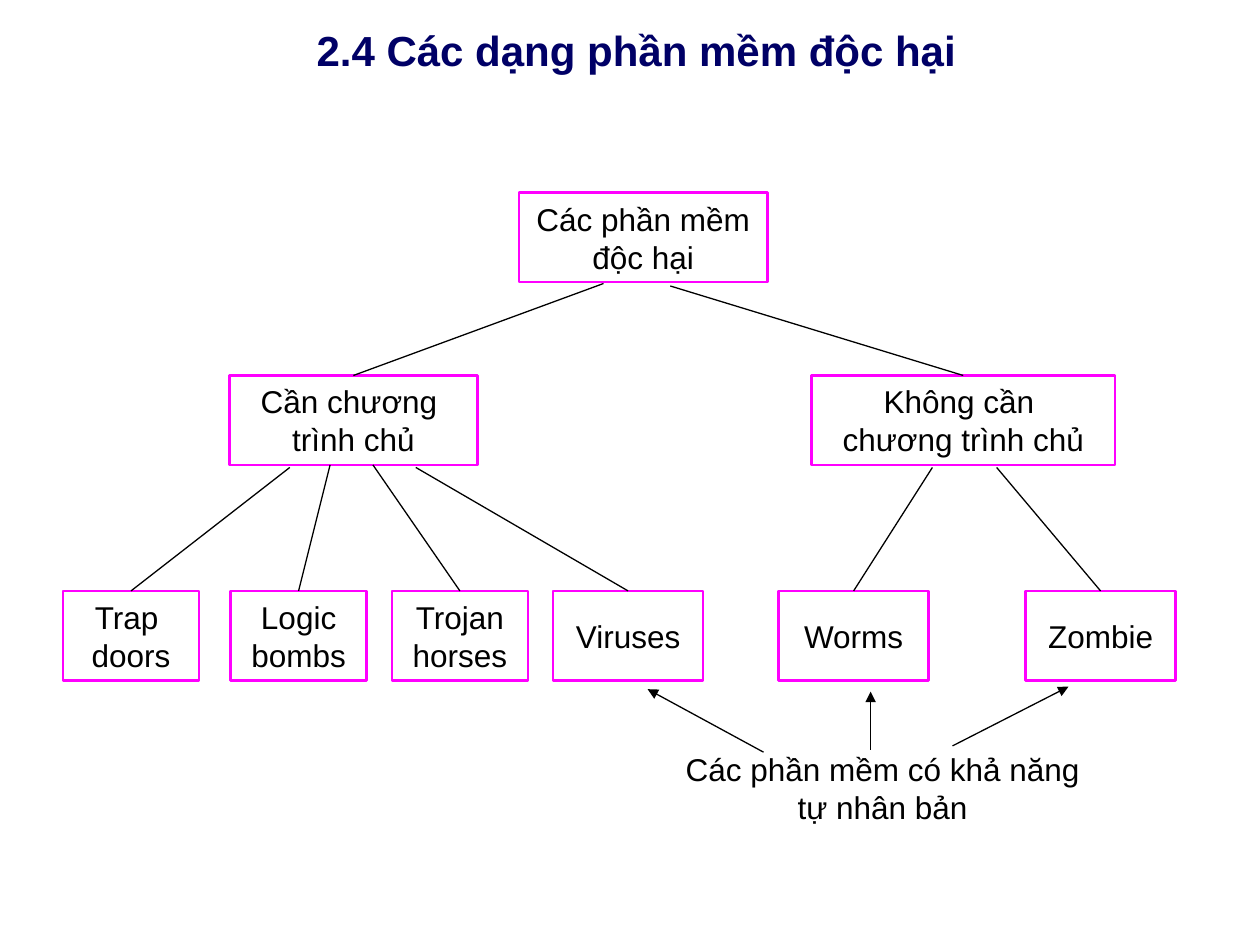
import dataclasses

import lxml.etree
import pptx
import pptx.dml.color
import pptx.enum.shapes
import pptx.enum.text
import pptx.oxml.ns
import pptx.util

NAVY = pptx.dml.color.RGBColor(0x00, 0x00, 0x66)
PINK = pptx.dml.color.RGBColor(0xFF, 0x00, 0xFF)
BLACK = pptx.dml.color.RGBColor(0x00, 0x00, 0x00)
FONT = "Arial"

# Grid of 100 columns by 75 rows, each cell a tenth of an inch
WIDTH, HEIGHT = pptx.util.Inches(10), pptx.util.Inches(7.5)
COL, ROW = WIDTH / 100, HEIGHT / 75
BOX_TALL = 7.1
MID_ROW, LEAF_ROW = 29.8, 46.9


@dataclasses.dataclass
class Node:
    text: str
    col: float
    row: float
    wide: float


@dataclasses.dataclass
class Link:
    """A line from a point under the parent to the top of the child."""
    col: float
    row: float
    child: str


@dataclasses.dataclass
class Arrow:
    start: tuple[float, float]
    end: tuple[float, float]


NODES = {
    "root": Node("Các phần mềm độc hại", 41.2, 15.3, 19.7),
    "host": Node("Cần chương \vtrình chủ", 18.2, MID_ROW, 19.7),
    "free": Node("Không cần \vchương trình chủ", 64.4, MID_ROW, 24.1),
    "trap": Node("Trap \vdoors", 5, LEAF_ROW, 10.8),
    "logic": Node("Logic\vbombs", 18.3, LEAF_ROW, 10.8),
    "trojan": Node("Trojan\vhorses", 31.1, LEAF_ROW, 10.8),
    "virus": Node("Viruses", 43.9, LEAF_ROW, 11.9),
    "worm": Node("Worms", 61.8, LEAF_ROW, 11.9),
    "zombie": Node("Zombie", 81.4, LEAF_ROW, 11.9),
}

LINKS = [
    Link(47.9, 22.5, "host"),
    Link(53.2, 22.7, "free"),
    Link(23, 37.1, "trap"),
    Link(26.2, 36.9, "logic"),
    Link(29.6, 36.9, "trojan"),
    Link(33, 37.1, "virus"),
    Link(74, 37.1, "worm"),
    Link(79.1, 37.1, "zombie"),
]

ARROWS = [
    Arrow((60.6, 59.7), (51.4, 54.7)),
    Arrow((69.1, 59.5), (69.1, 54.9)),
    Arrow((75.6, 59.2), (84.8, 54.5)),
]


def spot(col: float, row: float) -> tuple[int, int]:
    return round(col * COL), round(row * ROW)


def write(shape, text: str, size: float, color, bold: bool = False) -> None:
    frame = shape.text_frame
    frame.text = text
    frame.word_wrap = True
    frame.vertical_anchor = pptx.enum.text.MSO_ANCHOR.MIDDLE
    for para in frame.paragraphs:
        para.alignment = pptx.enum.text.PP_ALIGN.CENTER
        for run in para.runs:
            run.font.name = FONT
            run.font.size = pptx.util.Pt(size)
            run.font.bold = bold
            run.font.color.rgb = color


def draw_node(slide, node: Node):
    box = slide.shapes.add_shape(
        pptx.enum.shapes.MSO_SHAPE.RECTANGLE,
        *spot(node.col, node.row), *spot(node.wide, BOX_TALL))
    box.shadow.inherit = False
    box.fill.background()
    box.line.color.rgb = PINK
    box.line.width = pptx.util.Pt(1.5)
    write(box, node.text, 18, BLACK)
    return box


def draw_line(slide, start: tuple[float, float], end: tuple[float, float]):
    line = slide.shapes.add_connector(
        pptx.enum.shapes.MSO_CONNECTOR.STRAIGHT, *spot(*start), *spot(*end))
    line.line.color.rgb = BLACK
    line.line.width = pptx.util.Pt(0.75)
    lxml.etree.SubElement(line._element.spPr, pptx.oxml.ns.qn("a:effectLst"))
    return line


def draw_link(slide, link: Link, boxes: dict) -> None:
    node = NODES[link.child]
    line = draw_line(slide, (link.col, link.row),
                     (node.col + node.wide / 2, node.row))
    line.end_connect(boxes[link.child], 0)


def draw_arrow(slide, arrow: Arrow) -> None:
    line = draw_line(slide, arrow.start, arrow.end)
    lxml.etree.SubElement(line.line._get_or_add_ln(),
                          pptx.oxml.ns.qn("a:tailEnd"), type="triangle")


def draw_label(slide, node: Node, tall: float, size: float, color,
               bold: bool = False) -> None:
    label = slide.shapes.add_textbox(
        *spot(node.col, node.row), *spot(node.wide, tall))
    write(label, node.text, size, color, bold)


def main() -> None:
    deck = pptx.Presentation()
    deck.slide_width, deck.slide_height = WIDTH, HEIGHT
    slide = deck.slides.add_slide(deck.slide_layouts[6])

    # Title
    title = Node("2.4 Các dạng phần mềm độc hại", 2.6, 1.1, 95.8)
    draw_label(slide, title, 5.7, 24, NAVY, True)

    # Tree of malware kinds
    boxes = {name: draw_node(slide, node) for name, node in NODES.items()}
    for link in LINKS:
        draw_link(slide, link, boxes)

    # Note on the kinds that copy themselves
    note = Node("Các phần mềm có khả năng tự nhân bản", 53.2, 59, 33.7)
    draw_label(slide, note, BOX_TALL, 18, BLACK)
    for arrow in ARROWS:
        draw_arrow(slide, arrow)

    deck.save("out.pptx")


if __name__ == "__main__":
    main()
